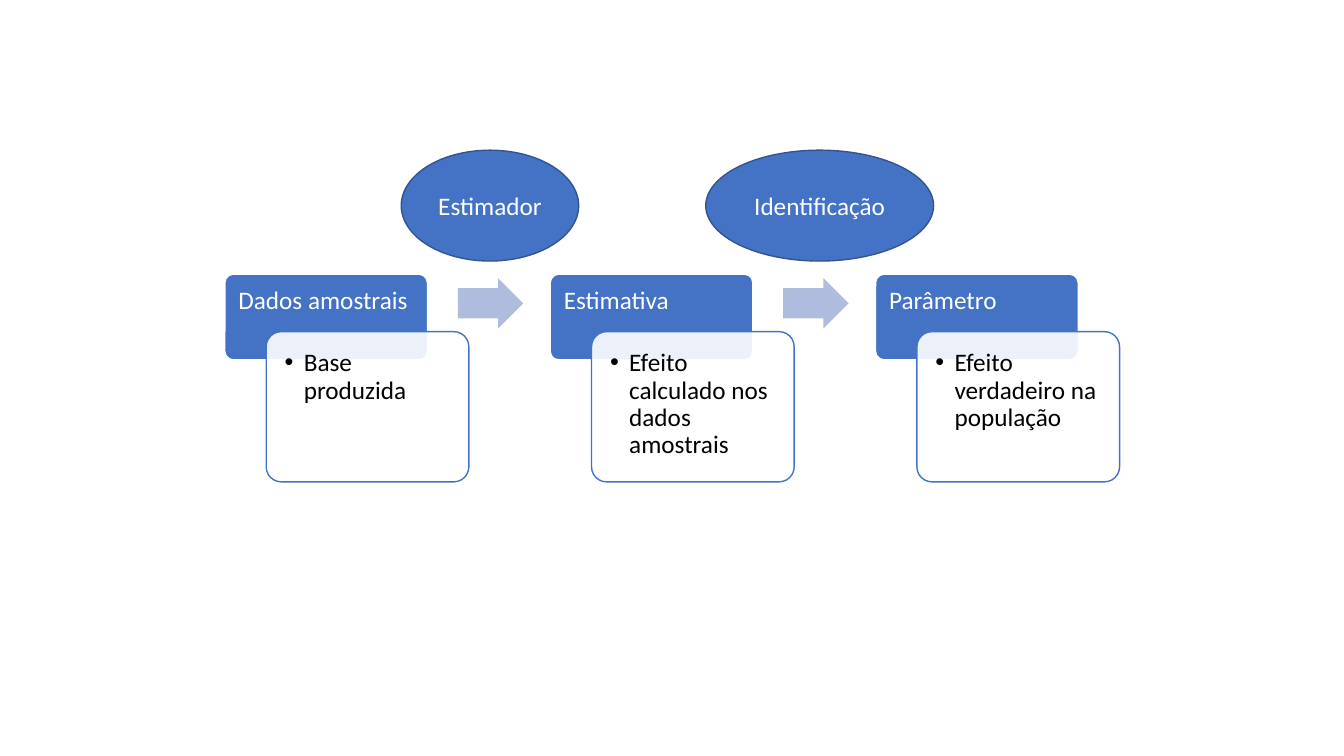
from lxml import etree
from pptx import Presentation
from pptx import util as u
from pptx.dml.color import RGBColor
from pptx.enum import shapes, text
from pptx.oxml.ns import qn

# Content
STEPS = [
    ("Dados amostrais", "Base produzida"),
    ("Estimativa", "Efeito calculado nos dados amostrais"),
    ("Parâmetro", "Efeito verdadeiro na população"),
]
LINKS = [("Estimador", 3.98, 1.76), ("Identificação", 7.0, 2.26)]  # label, left, width

# Style
BLUE = RGBColor(0x44, 0x72, 0xC4)
DARK_BLUE = RGBColor(0x32, 0x54, 0x91)
PALE_BLUE = RGBColor(0xB0, 0xBC, 0xDE)
WHITE = RGBColor(0xFF, 0xFF, 0xFF)
BLACK = RGBColor(0x00, 0x00, 0x00)
FONT, SIZE = "Calibri", u.Pt(18)

# Layout in inches
STEP_LEFT, STEP_PITCH = 2.23, 3.227
HEADER_TOP, HEADER_HEIGHT = 2.72, 0.85
CARD_WIDTH = 2.01
DETAIL_SHIFT, DETAIL_TOP, DETAIL_HEIGHT = 0.41, 3.29, 1.49
ARROW_SHIFT, ARROW_TOP, ARROW_WIDTH, ARROW_HEIGHT = 2.31, 2.76, 0.65, 0.5
OVAL_TOP, OVAL_HEIGHT = 1.49, 1.1
BULLET_INDENT = 0.19

presentation = Presentation()
presentation.slide_width, presentation.slide_height = u.Inches(13.33), u.Inches(7.5)
slide = presentation.slides.add_slide(presentation.slide_layouts[6])


def add_shape(kind, left, top, width, height, fill, line=None):
    shape = slide.shapes.add_shape(kind, *map(u.Inches, (left, top, width, height)))
    shape.shadow.inherit = False
    shape.fill.solid()
    shape.fill.fore_color.rgb = fill
    if line is None:
        shape.line.fill.background()
    else:
        shape.line.color.rgb = line
        shape.line.width = u.Pt(1)
    return shape


def write(shape, words, color, align, anchor, margin=0.1):
    frame = shape.text_frame
    frame.text = words
    frame.word_wrap = True
    frame.vertical_anchor = anchor
    frame.margin_left = frame.margin_right = frame.margin_top = u.Inches(margin)
    frame.margin_bottom = u.Inches(0.05)
    paragraph = frame.paragraphs[0]
    paragraph.alignment = align
    font = paragraph.runs[0].font
    font.name, font.size, font.color.rgb = FONT, SIZE, color
    return paragraph


def add_card(left, top, height, fill, line, words, color, margin):
    card = add_shape(shapes.MSO_SHAPE.ROUNDED_RECTANGLE, left, top, CARD_WIDTH, height, fill, line)
    card.adjustments[0] = 0.1
    paragraph = write(card, words, color, text.PP_ALIGN.LEFT, text.MSO_ANCHOR.TOP, margin)
    paragraph.line_spacing = 0.9
    return card, paragraph


def add_bullet(paragraph):
    properties = paragraph._p.get_or_add_pPr()
    properties.set("marL", str(u.Inches(BULLET_INDENT)))
    properties.set("indent", str(-u.Inches(BULLET_INDENT)))
    etree.SubElement(properties, qn("a:buFont")).set("typeface", "Arial")
    etree.SubElement(properties, qn("a:buChar")).set("char", "•")


def set_opacity(shape, percent):
    color = shape.fill._xPr.find(qn("a:solidFill"))[0]
    etree.SubElement(color, qn("a:alpha")).set("val", str(percent * 1000))


# Steps: header, overlapping detail card, arrow to the next step
for index, (title, detail) in enumerate(STEPS):
    left = STEP_LEFT + index * STEP_PITCH
    add_card(left, HEADER_TOP, HEADER_HEIGHT, BLUE, WHITE, title, WHITE, 0.11)
    card, paragraph = add_card(left + DETAIL_SHIFT, DETAIL_TOP, DETAIL_HEIGHT,
                               WHITE, BLUE, detail, BLACK, 0.14)
    set_opacity(card, 90)
    add_bullet(paragraph)
    if index < len(STEPS) - 1:
        arrow = add_shape(shapes.MSO_SHAPE.RIGHT_ARROW, left + ARROW_SHIFT, ARROW_TOP,
                          ARROW_WIDTH, ARROW_HEIGHT, PALE_BLUE)
        arrow.adjustments[0], arrow.adjustments[1] = 0.6, 0.5

# Ovals naming the passage between steps
for label, left, width in LINKS:
    oval = add_shape(shapes.MSO_SHAPE.OVAL, left, OVAL_TOP, width, OVAL_HEIGHT, BLUE, DARK_BLUE)
    paragraph = write(oval, label, WHITE, text.PP_ALIGN.CENTER, text.MSO_ANCHOR.MIDDLE)
    oval.text_frame.margin_top = u.Inches(0.05)

presentation.save("out.pptx")
